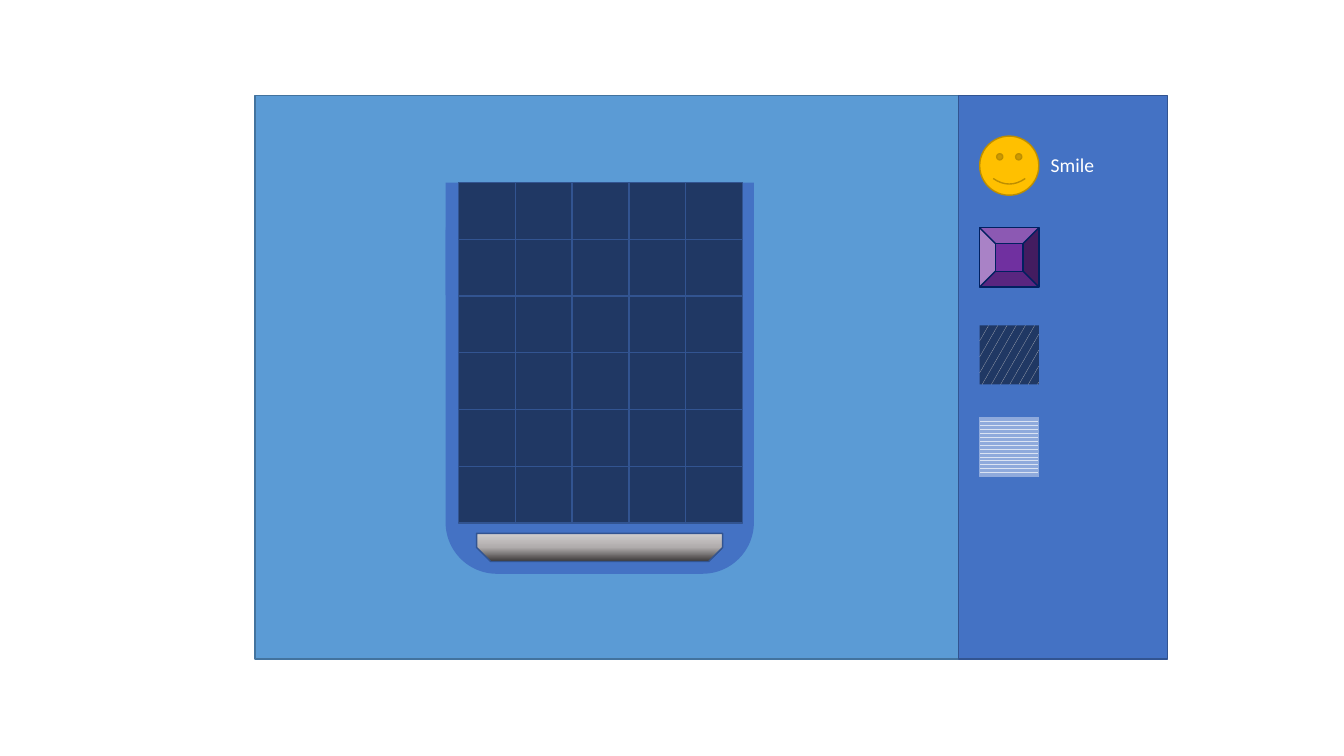
"""Build a falling-block game screen with a side panel of block samples."""
from copy import deepcopy
from dataclasses import dataclass
from typing import Any, Optional

from pptx import Presentation
from pptx.dml.color import RGBColor
from pptx.enum import dml, shapes, text
from pptx.oxml.ns import qn
from pptx.util import Cm, Pt

KIND = shapes.MSO_SHAPE
PATTERN = dml.MSO_PATTERN


@dataclass(frozen=True)
class Theme:
    """Colours and type sizes of the slide."""
    sky: str = "5B9BD5"
    sky_edge: str = "43739E"
    panel: str = "4472C4"
    panel_edge: str = "325491"
    navy: str = "203864"
    smile: str = "FFC000"
    smile_edge: str = "BD8E00"
    gem: str = "7030A0"
    gem_edge: str = "002060"
    water: str = "8FAADC"
    foam: str = "DAE3F3"
    silver: str = "D0CECE"
    steel: str = "AFABAB"
    iron: str = "3B3838"
    label: str = "FFFFFF"
    font: str = "Calibri"
    label_size: int = 14
    line_width: int = 1


THEME = Theme()


@dataclass(frozen=True)
class Block:
    """One preset shape, with its place in centimetres."""
    kind: Any
    left: float
    top: float
    width: float
    height: float
    fill: str
    line: Optional[str] = None
    adjust: Optional[float] = None
    pattern: Any = None
    pattern_color: str = THEME.silver


def rgb(color: str) -> RGBColor:
    """Turn a hex string into a colour."""
    return RGBColor.from_string(color)


def draw(parent: Any, block: Block) -> Any:
    """Add one block to a shape collection."""
    sp = parent.add_shape(block.kind, Cm(block.left), Cm(block.top),
                          Cm(block.width), Cm(block.height))
    sp.shadow.inherit = False
    if block.pattern is None:
        sp.fill.solid()
        sp.fill.fore_color.rgb = rgb(block.fill)
    else:
        sp.fill.patterned()
        sp.fill.pattern = block.pattern
        sp.fill.fore_color.rgb = rgb(block.pattern_color)
        sp.fill.back_color.rgb = rgb(block.fill)
    if block.line is None:
        sp.line.fill.background()
    else:
        sp.line.color.rgb = rgb(block.line)
        sp.line.width = Pt(THEME.line_width)
    if block.adjust is not None:
        sp.adjustments[0] = block.adjust
    return sp


def shade(sp: Any, colors: list[str]) -> None:
    """Fill a shape from top to bottom with evenly spaced colours."""
    sp.fill.gradient()
    sp.fill.gradient_angle = 270
    stops = sp._element.spPr.find(qn("a:gradFill")).find(qn("a:gsLst"))
    for _ in colors[2:]:
        stops.append(deepcopy(stops[0]))
    for i, (stop, color) in enumerate(zip(sp.fill.gradient_stops, colors)):
        stop.position = i / (len(colors) - 1)
        stop.color.rgb = rgb(color)


def draw_well(parent: Any) -> None:
    """Draw the well, its grid of cells and the metal base."""
    left, top, cell, columns, rows = 11.56, 4.6, 1.43, 5, 6
    group = parent.add_group_shape()
    draw(group.shapes, Block(KIND.ROUNDED_RECTANGLE, 11.23, top, 7.77, 9.86, THEME.panel))
    draw(group.shapes, Block(KIND.RECTANGLE, 11.23, top, 7.77, 2.84, THEME.panel))
    for column in range(columns):
        for row in range(rows):
            draw(parent, Block(KIND.RECTANGLE, left + column * cell, top + row * cell,
                               cell, cell, THEME.navy, THEME.panel_edge))
    base = draw(parent, Block(KIND.SNIP_2_SAME_RECTANGLE, 12.01, 13.44, 6.2, 0.71,
                              THEME.steel, THEME.panel_edge, 0.5))
    base.rotation = 180
    shade(base, [THEME.iron, THEME.steel, THEME.silver])


def draw_samples(parent: Any) -> None:
    """Draw the block samples down the side panel."""
    left, size = 24.69, 1.49
    samples = [
        Block(KIND.SMILEY_FACE, left, 3.43, size, size, THEME.smile, THEME.smile_edge),
        Block(KIND.BEVEL, left, 5.74, size, size, THEME.gem, THEME.gem_edge, 0.265),
        Block(KIND.RECTANGLE, left, 8.2, size, size, THEME.navy,
              pattern=PATTERN.SMALL_CONFETTI),
        Block(KIND.RECTANGLE, left, 10.52, size, size, THEME.water, THEME.water,
              pattern=PATTERN.WAVE, pattern_color=THEME.foam),
    ]
    for sample in samples:
        draw(parent, sample)


def draw_label(parent: Any, words: str) -> None:
    """Write the name beside the first sample."""
    tf = parent.add_textbox(Cm(25.45), Cm(3.73), Cm(3.15), Cm(0.86)).text_frame
    tf.word_wrap = True
    tf.auto_size = text.MSO_AUTO_SIZE.SHAPE_TO_FIT_TEXT
    p = tf.paragraphs[0]
    p.text = words
    p.alignment = text.PP_ALIGN.CENTER
    p.font.name = THEME.font
    p.font.size = Pt(THEME.label_size)
    p.font.color.rgb = rgb(THEME.label)


def main() -> None:
    """Build and save the slide."""
    prs = Presentation()
    prs.slide_width, prs.slide_height = Cm(33.87), Cm(19.05)
    s = prs.slides.add_slide(prs.slide_layouts[6])
    draw(s.shapes, Block(KIND.RECTANGLE, 6.43, 2.41, 17.73, 14.2,
                         THEME.sky, THEME.sky_edge))
    draw(s.shapes, Block(KIND.RECTANGLE, 24.16, 2.41, 5.26, 14.2,
                         THEME.panel, THEME.panel_edge))
    draw_well(s.shapes)
    draw_samples(s.shapes)
    draw_label(s.shapes, "Smile")
    prs.save("out.pptx")


if __name__ == "__main__":
    main()
